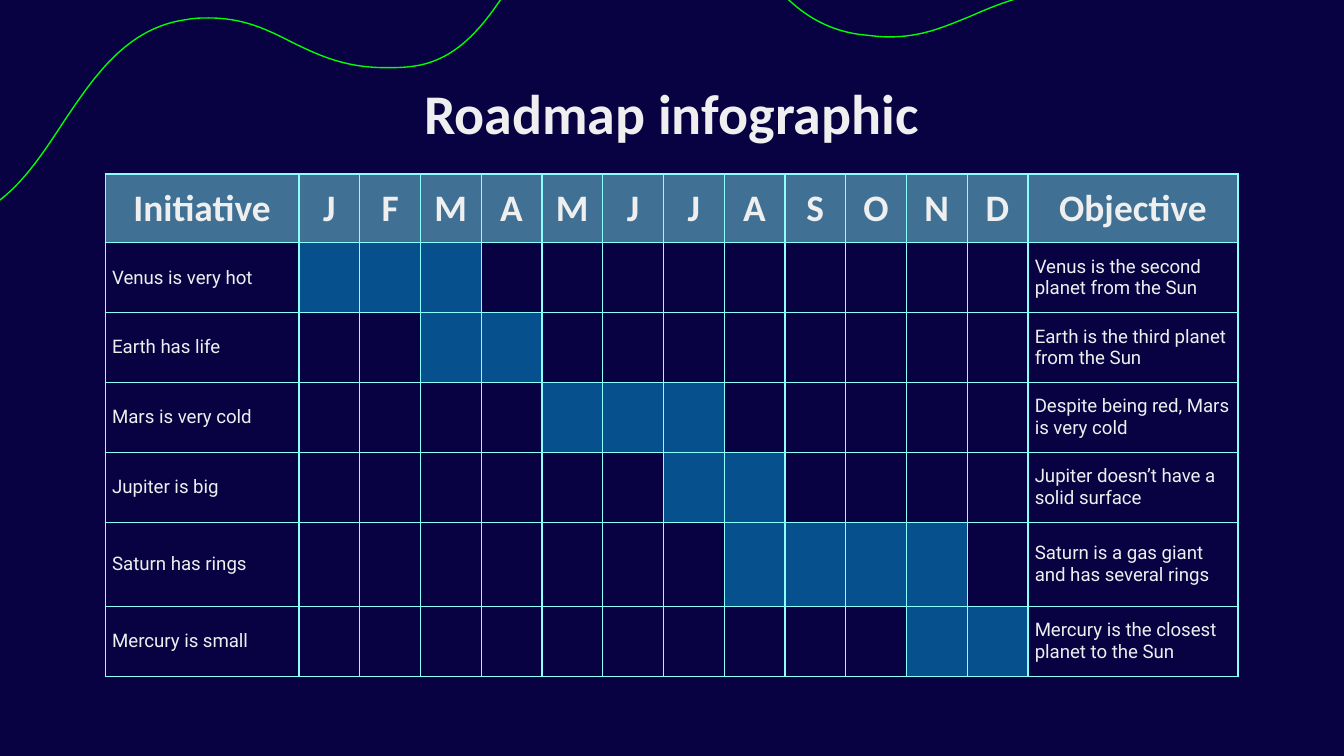
"""Build the roadmap infographic slide: a yearly schedule of planet initiatives."""
from lxml import etree
from pptx import Presentation
from pptx import util as u
from pptx.dml import color as dml
from pptx.enum import text
from pptx.oxml import ns

TITLE = "Roadmap infographic"
MONTHS = "JFMAMJJASOND"
HEADINGS = ["Initiative", *MONTHS, "Objective"]
INITIATIVES = [
    ("Venus is very hot", 1, 3, "Venus is the second planet from the Sun"),
    ("Earth has life", 3, 4, "Earth is the third planet from the Sun"),
    ("Mars is very cold", 5, 7, "Despite being red, Mars is very cold"),
    ("Jupiter is big", 7, 8, "Jupiter doesn’t have a solid surface"),
    ("Saturn has rings", 8, 11, "Saturn is a gas giant and has several rings"),
    ("Mercury is small", 11, 12, "Mercury is the closest planet to the Sun"),
]
WAVE_START = (-4.95, 3.47)
WAVE_CURVES = [
    ((-4.32, 3.47), (-3.81, 3.68), (-3.3, 3.87)),
    ((-2.79, 4.08), (-2.29, 4.31), (-1.65, 4.31)),
    ((-1.37, 4.31), (-1.07, 4.25), (-0.71, 4.15)),
    ((0.14, 3.9), (0.65, 3.15), (1.18, 2.34)),
    ((1.78, 1.44), (2.4, 0.52), (3.53, 0.37)),
    ((3.68, 0.34), (3.81, 0.34), (3.94, 0.34)),
    ((4.6, 0.34), (5.03, 0.55), (5.5, 0.79)),
    ((5.99, 1.03), (6.5, 1.28), (7.29, 1.28)),
    ((7.44, 1.28), (7.59, 1.28), (7.75, 1.26)),
    ((8.75, 1.16), (9.28, 0.29), (9.8, -0.53)),
    ((10.36, -1.41), (10.91, -2.27), (11.99, -2.27)),
    ((13.08, -2.27), (13.61, -1.59), (14.17, -0.86)),
    ((14.68, -0.19), (15.21, 0.5), (16.23, 0.65)),
    ((16.43, 0.67), (16.62, 0.7), (16.8, 0.7)),
    ((17.42, 0.7), (17.84, 0.51), (18.31, 0.32)),
    ((18.85, 0.09), (19.44, -0.19), (20.45, -0.19)),
]
NAVY, AQUA, SKY, PALE, GREEN = "080243", "89FFFF", "03ACE5", "EFEFEF", "00FF00"
LEFT, YEAR_WIDTH = 1.99, 13.78
COLUMN_WIDTHS = [3.66] + [YEAR_WIDTH / len(MONTHS)] * len(MONTHS) + [3.97]
ROW_HEIGHTS = [1.3, 1.32, 1.32, 1.32, 1.32, 1.59, 1.32]
WIDTH = sum(COLUMN_WIDTHS)
TITLE_FONT = dict(name="Calibri", size=u.Pt(30), bold=True)
HEADING_FONT = dict(name="Calibri", size=u.Pt(20), bold=True)
BODY_FONT = dict(name="Roboto", size=u.Pt(10), bold=False)


def set_values(target, values):
    for name, value in values.items():
        setattr(target, name, value)


def margins(size):
    return {f"margin_{side}": u.Cm(size) for side in ("left", "right", "top", "bottom")}


def paint(color_format, hex_color):
    color_format.rgb = dml.RGBColor.from_string(hex_color)


def write(frame, wording, font, align):
    paragraph = frame.paragraphs[0]
    paragraph.alignment = align
    run = paragraph.add_run()
    run.text = wording
    set_values(run.font, font)
    paint(run.font.color, PALE)


def add_borders(cell):
    properties = cell._tc.get_or_add_tcPr()
    for side in "LRTB":
        border = etree.SubElement(properties, ns.qn(f"a:ln{side}"), w=str(u.Pt(0.75)))
        solid = etree.SubElement(border, ns.qn("a:solidFill"))
        etree.SubElement(solid, ns.qn("a:srgbClr"), val=AQUA)


def fill_cell(cell, hex_color, opacity):
    cell.fill.solid()
    paint(cell.fill.fore_color, hex_color)
    tint = cell._tc.tcPr.find(ns.qn("a:solidFill"))[0]
    etree.SubElement(tint, ns.qn("a:alpha"), val=str(opacity * 1000))


def round_segments(outline):
    """Turn each three straight segments into one cubic curve."""
    segments = list(outline.iter(ns.qn("a:lnTo")))
    for first in range(0, len(segments), 3):
        curve = etree.Element(ns.qn("a:cubicBezTo"))
        segments[first].addprevious(curve)
        for segment in segments[first:first + 3]:
            curve.append(segment[0])
            segment.getparent().remove(segment)


def add_wave(slide):
    builder = slide.shapes.build_freeform(*map(u.Cm, WAVE_START))
    corners = [tuple(map(u.Cm, corner)) for curve in WAVE_CURVES for corner in curve]
    builder.add_line_segments(corners, close=False)
    wave = builder.convert_to_shape()
    round_segments(wave._element)
    wave.shadow.inherit = False
    wave.fill.background()
    paint(wave.line.color, GREEN)
    wave.line.width = u.Pt(0.75)


def add_title(slide):
    title = slide.shapes.title
    set_values(title, dict(left=u.Cm(LEFT), top=u.Cm(1.24), width=u.Cm(WIDTH), height=u.Cm(1.6)))
    set_values(title.text_frame, dict(
        margins(0.25), word_wrap=True, auto_size=text.MSO_AUTO_SIZE.NONE,
        vertical_anchor=text.MSO_ANCHOR.TOP))
    write(title.text_frame, TITLE, TITLE_FONT, text.PP_ALIGN.CENTER)


def add_schedule(slide):
    schedule = slide.shapes.add_table(
        len(ROW_HEIGHTS), len(COLUMN_WIDTHS), u.Cm(LEFT), u.Cm(3.29),
        u.Cm(WIDTH), u.Cm(sum(ROW_HEIGHTS))).table
    set_values(schedule, dict(first_row=False, horz_banding=False))
    for column, width in zip(schedule.columns, COLUMN_WIDTHS):
        column.width = u.Cm(width)
    for row, height in zip(schedule.rows, ROW_HEIGHTS):
        row.height = u.Cm(height)
    for cell in schedule.iter_cells():
        set_values(cell, dict(margins(0.13), vertical_anchor=text.MSO_ANCHOR.MIDDLE))
        add_borders(cell)
    for cell, heading in zip(schedule.rows[0].cells, HEADINGS):
        set_values(cell, margins(0))
        fill_cell(cell, AQUA, 44)
        write(cell.text_frame, heading, HEADING_FONT, text.PP_ALIGN.CENTER)
    for row, (initiative, first, last, objective) in enumerate(INITIATIVES, 1):
        name_cell, *month_cells, objective_cell = schedule.rows[row].cells
        fill_cell(name_cell, NAVY, 44)
        objective_cell.fill.background()
        for cell, wording in ((name_cell, initiative), (objective_cell, objective)):
            write(cell.text_frame, wording, BODY_FONT, text.PP_ALIGN.LEFT)
        for month, cell in enumerate(month_cells, 1):
            fill_cell(cell, *((SKY, 46) if first <= month <= last else (NAVY, 44)))


def main():
    deck = Presentation()
    set_values(deck, dict(slide_width=u.Cm(25.4), slide_height=u.Cm(14.29)))
    slide = deck.slides.add_slide(deck.slide_layouts[5])
    slide.background.fill.solid()
    paint(slide.background.fill.fore_color, NAVY)
    add_wave(slide)
    add_title(slide)
    add_schedule(slide)
    deck.save("out.pptx")


if __name__ == "__main__":
    main()
